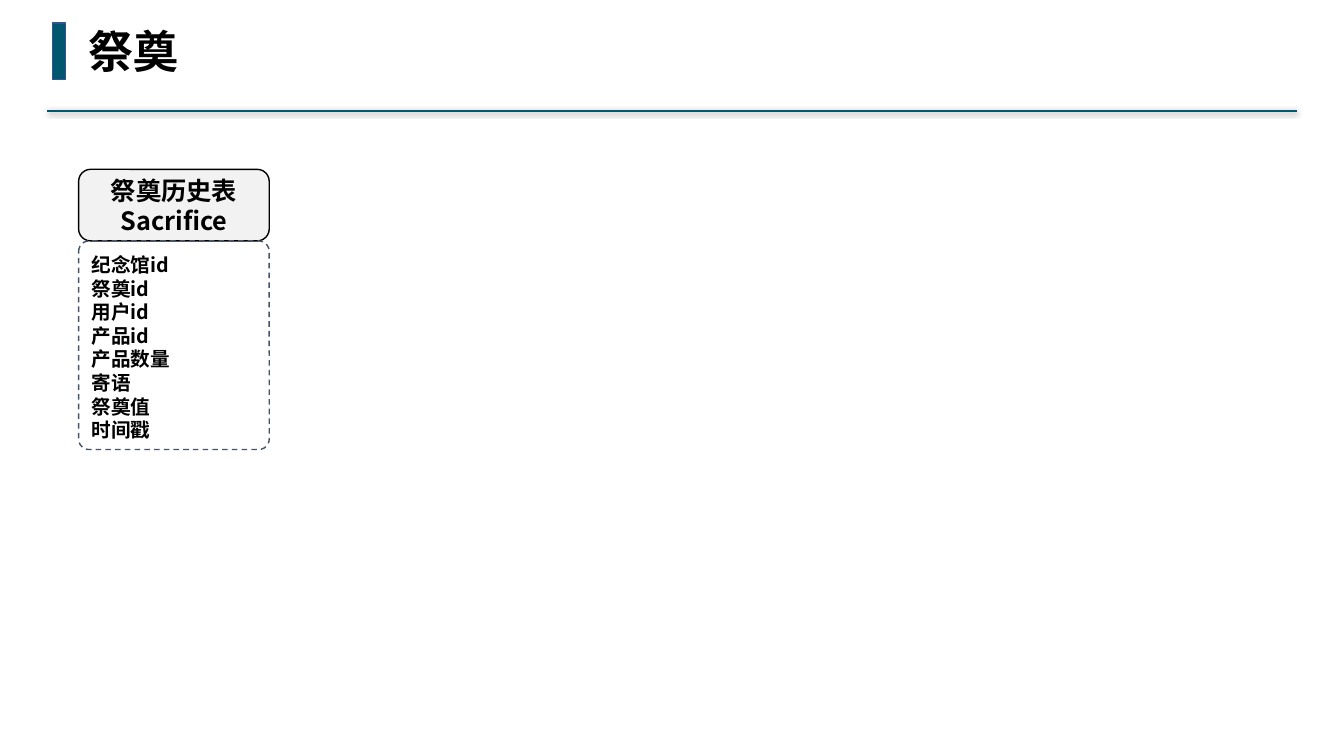
from lxml.etree import SubElement
from pptx import Presentation
from pptx.dml.color import RGBColor
from pptx.enum.dml import MSO_LINE
from pptx.enum.shapes import MSO_CONNECTOR, MSO_SHAPE
from pptx.enum.text import MSO_ANCHOR, MSO_AUTO_SIZE, PP_ALIGN
from pptx.oxml.ns import qn
from pptx.util import Inches, Pt

TEAL = RGBColor(0x00, 0x57, 0x6E)
BLUE = RGBColor(0x32, 0x54, 0x91)
SLATE = RGBColor(0x44, 0x54, 0x6A)
LIGHT_GRAY = RGBColor(0xF2, 0xF2, 0xF2)
BLACK = RGBColor(0x00, 0x00, 0x00)
TITLE_FONT = "Courier New"
BODY_FONT = "Noto Sans CJK SC"
FIELDS = ["纪念馆id", "祭奠id", "用户id", "产品id", "产品数量", "寄语", "祭奠值", "时间戳"]


def write_text(frame, lines, size, font_name, align=PP_ALIGN.LEFT):
    frame.text = "\n".join(lines)
    for paragraph in frame.paragraphs:
        paragraph.alignment = align
        for run in paragraph.runs:
            run.font.size = Pt(size)
            run.font.bold = True
            run.font.name = font_name
            run.font.color.rgb = BLACK
            SubElement(run.font._element, qn("a:ea"), typeface=font_name)


def add_box(slide, kind, left, top, width, height, fill, outline):
    box = slide.shapes.add_shape(
        kind, Inches(left), Inches(top), Inches(width), Inches(height))
    box.shadow.inherit = False
    if fill is None:
        box.fill.background()
    else:
        box.fill.solid()
        box.fill.fore_color.rgb = fill
    box.line.color.rgb = outline
    box.line.width = Pt(1)
    return box


def add_divider(slide):
    divider = slide.shapes.add_connector(
        MSO_CONNECTOR.STRAIGHT, Inches(12.86), Inches(1.1), Inches(0.47), Inches(1.1))
    divider.line.color.rgb = TEAL
    divider.line.width = Pt(1.5)
    effects = SubElement(divider._element.spPr, qn("a:effectLst"))
    shadow = SubElement(effects, qn("a:outerShdw"), blurRad=str(Pt(4)),
                        dist=str(Pt(1)), dir="5400000", rotWithShape="0")
    shade = SubElement(shadow, qn("a:srgbClr"), val=str(BLACK))
    SubElement(shade, qn("a:alpha"), val="40000")


def add_title(slide, text):
    add_box(slide, MSO_SHAPE.RECTANGLE, 0.52, 0.23, 0.13, 0.56, TEAL, BLUE)
    title = slide.shapes.add_textbox(
        Inches(0.78), Inches(0.19), Inches(1.1), Inches(0.64))
    title.text_frame.word_wrap = False
    title.text_frame.auto_size = MSO_AUTO_SIZE.SHAPE_TO_FIT_TEXT
    write_text(title.text_frame, [text], 32, TITLE_FONT)


def add_entity(slide, left, top, names, fields):
    width, header_height, body_height = 1.89, 0.71, 2.07
    header = add_box(slide, MSO_SHAPE.ROUNDED_RECTANGLE, left, top,
                     width, header_height, LIGHT_GRAY, BLACK)
    frame = header.text_frame
    frame.margin_left = frame.margin_right = Inches(0.04)
    frame.margin_top = frame.margin_bottom = Inches(0.04)
    frame.word_wrap = False
    frame.vertical_anchor = MSO_ANCHOR.MIDDLE
    write_text(frame, names, 18, BODY_FONT, PP_ALIGN.CENTER)

    body = add_box(slide, MSO_SHAPE.ROUNDED_RECTANGLE, left, top + header_height,
                   width, body_height, None, SLATE)
    body.adjustments[0] = 0.055
    body.line.dash_style = MSO_LINE.DASH
    body.text_frame.word_wrap = True
    body.text_frame.vertical_anchor = MSO_ANCHOR.BOTTOM
    write_text(body.text_frame, fields, 14, BODY_FONT)


def main():
    presentation = Presentation()
    presentation.slide_width = Inches(13.33)
    presentation.slide_height = Inches(7.5)
    slide = presentation.slides.add_slide(presentation.slide_layouts[6])
    add_divider(slide)
    add_title(slide, "祭奠")
    add_entity(slide, 0.78, 1.68, ["祭奠历史表", "Sacrifice"], FIELDS)
    presentation.save("out.pptx")


if __name__ == "__main__":
    main()
